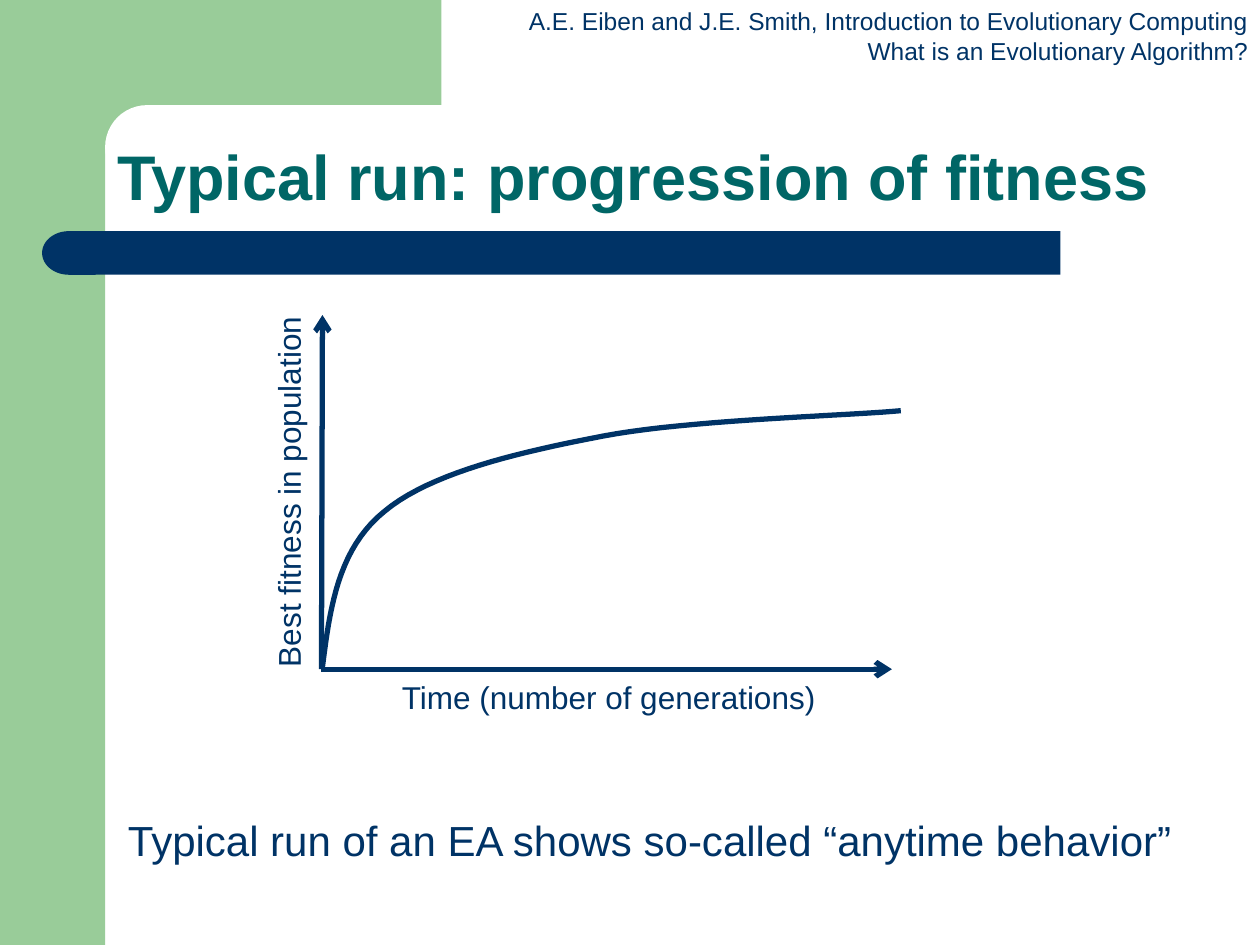
from lxml.etree import SubElement
from pptx import Presentation
from pptx.dml.color import RGBColor
from pptx.enum.shapes import MSO_CONNECTOR as Connector, MSO_SHAPE as Preset
from pptx.enum.text import MSO_ANCHOR as Anchor, MSO_AUTO_SIZE as AutoSize, PP_ALIGN as Align
from pptx.oxml.ns import qn
from pptx.util import Cm, Pt

NAVY, GREEN, TEAL, WHITE = "003366", "99CC99", "006666", "FFFFFF"
ORIGIN = (6.48, 13.49)
CURVE_START = (6.5, 13.46)
CURVE_SEGMENTS = [
    ((6.65, 12.27), (6.81, 11.07), (7.75, 10.31)),
    ((8.69, 9.53), (10.44, 9.12), (12.17, 8.79)),
    ((13.89, 8.46), (17.15, 8.38), (18.16, 8.28)),
]
STEPS = 20


def color(hex_value):
    """Turn a hex string into a colour."""
    return RGBColor.from_string(hex_value)


def place(shape, box):
    """Move and size a shape to a box in centimetres."""
    shape.left, shape.top, shape.width, shape.height = map(Cm, box)


def format_text(shape, text, size=18, fill=NAVY, bold=False, align=Align.LEFT,
                anchor=Anchor.TOP, wrap=True, spacing=1.0):
    """Write lines of text into a shape with one format."""
    frame = shape.text_frame
    frame.text = text
    frame.word_wrap = wrap
    frame.auto_size = AutoSize.NONE
    frame.vertical_anchor = anchor
    for paragraph in frame.paragraphs:
        paragraph.alignment = align
        paragraph.line_spacing = spacing
        font = paragraph.runs[0].font
        font.name, font.size, font.bold = "Arial", Pt(size), bold
        font.color.rgb = color(fill)


def add_label(slide, box, text, rotation=0, **text_format):
    """Add a text box."""
    label = slide.shapes.add_textbox(*map(Cm, box))
    label.rotation = rotation
    format_text(label, text, **text_format)


def add_block(slide, preset, box, fill):
    """Add a filled preset shape without outline."""
    block = slide.shapes.add_shape(preset, *map(Cm, box))
    block.shadow.inherit = False
    block.fill.solid()
    block.fill.fore_color.rgb = color(fill)
    block.line.fill.background()
    return block


def style_line(line):
    """Give a line the colour and width of the diagram."""
    line.color.rgb = color(NAVY)
    line.width = Pt(3)


def add_axis(slide, start, end):
    """Add an axis with an arrowhead at its end."""
    axis = slide.shapes.add_connector(Connector.STRAIGHT, *map(Cm, start + end))
    style_line(axis.line)
    properties = axis.element.spPr
    SubElement(properties.find(qn("a:ln")), qn("a:tailEnd"), type="arrow")
    SubElement(properties, qn("a:effectLst"))


def bezier_points(start, segments):
    """Return points along a chain of cubic Bézier segments."""
    points = []
    for first, second, end in segments:
        for step in range(1, STEPS + 1):
            t = step / STEPS
            u = 1 - t
            points.append(tuple(
                Cm(u**3 * a + 3 * u**2 * t * b + 3 * u * t**2 * c + t**3 * d)
                for a, b, c, d in zip(start, first, second, end)))
        start = end
    return points


def add_curve(slide, start, segments):
    """Add an open smooth curve."""
    builder = slide.shapes.build_freeform(*map(Cm, start))
    builder.add_line_segments(bezier_points(start, segments), close=False)
    curve = builder.convert_to_shape()
    curve.shadow.inherit = False
    curve.fill.background()
    style_line(curve.line)


def add_decoration(slide):
    """Add the green frame and the navy bar."""
    add_block(slide, Preset.RECTANGLE, (0, 0, 2.12, 19.05), GREEN)
    add_block(slide, Preset.RECTANGLE, (1.91, 0, 6.99, 2.96), GREEN)
    corner = add_block(slide, Preset.ROUNDED_RECTANGLE, (2.12, 2.12, 14.18, 1.69), WHITE)
    corner.adjustments[0] = 0.5
    add_block(slide, Preset.RECTANGLE, (1.91, 4.66, 19.47, 0.88), NAVY)
    bar_end = add_block(slide, Preset.FLOWCHART_DELAY, (0.85, 4.66, 1.08, 0.88), NAVY)
    bar_end.element.spPr.find(qn("a:xfrm")).set("flipH", "1")


def add_title(slide, text):
    """Fill the title placeholder and bring it in front of the decoration."""
    title = slide.shapes.title
    place(title, (2.12, 2.54, 21.59, 1.91))
    format_text(title, text, size=36, fill=TEAL, bold=True,
                anchor=Anchor.BOTTOM, spacing=0.9)
    title.element.getparent().append(title.element)


def add_diagram(slide):
    """Add the fitness curve with its axes and labels."""
    add_label(slide, (2.03, 9.4, 7.57, 1.02), "Best fitness in population",
              rotation=270, wrap=False)
    add_axis(slide, ORIGIN, (17.98, 13.49))
    add_curve(slide, CURVE_START, CURVE_SEGMENTS)
    add_label(slide, (7.85, 13.54, 8.86, 1.02), "Time (number of generations)", wrap=False)
    add_axis(slide, ORIGIN, (6.5, 6.35))


def main():
    """Build and save the slide."""
    presentation = Presentation()
    presentation.slide_width, presentation.slide_height = Cm(25.4), Cm(19.05)
    slide = presentation.slides.add_slide(presentation.slide_layouts[5])
    add_decoration(slide)
    add_label(slide, (10.41, 0, 15.01, 1.45),
              "A.E. Eiben and J.E. Smith, Introduction to Evolutionary Computing\n"
              "What is an Evolutionary Algorithm?",
              size=14, align=Align.RIGHT, wrap=False)
    add_title(slide, "Typical run: progression of fitness")
    add_label(slide, (2.33, 16.3, 22.01, 1.27),
              "Typical run of an EA shows so-called “anytime behavior”", size=24)
    add_diagram(slide)
    presentation.save("out.pptx")


if __name__ == "__main__":
    main()
